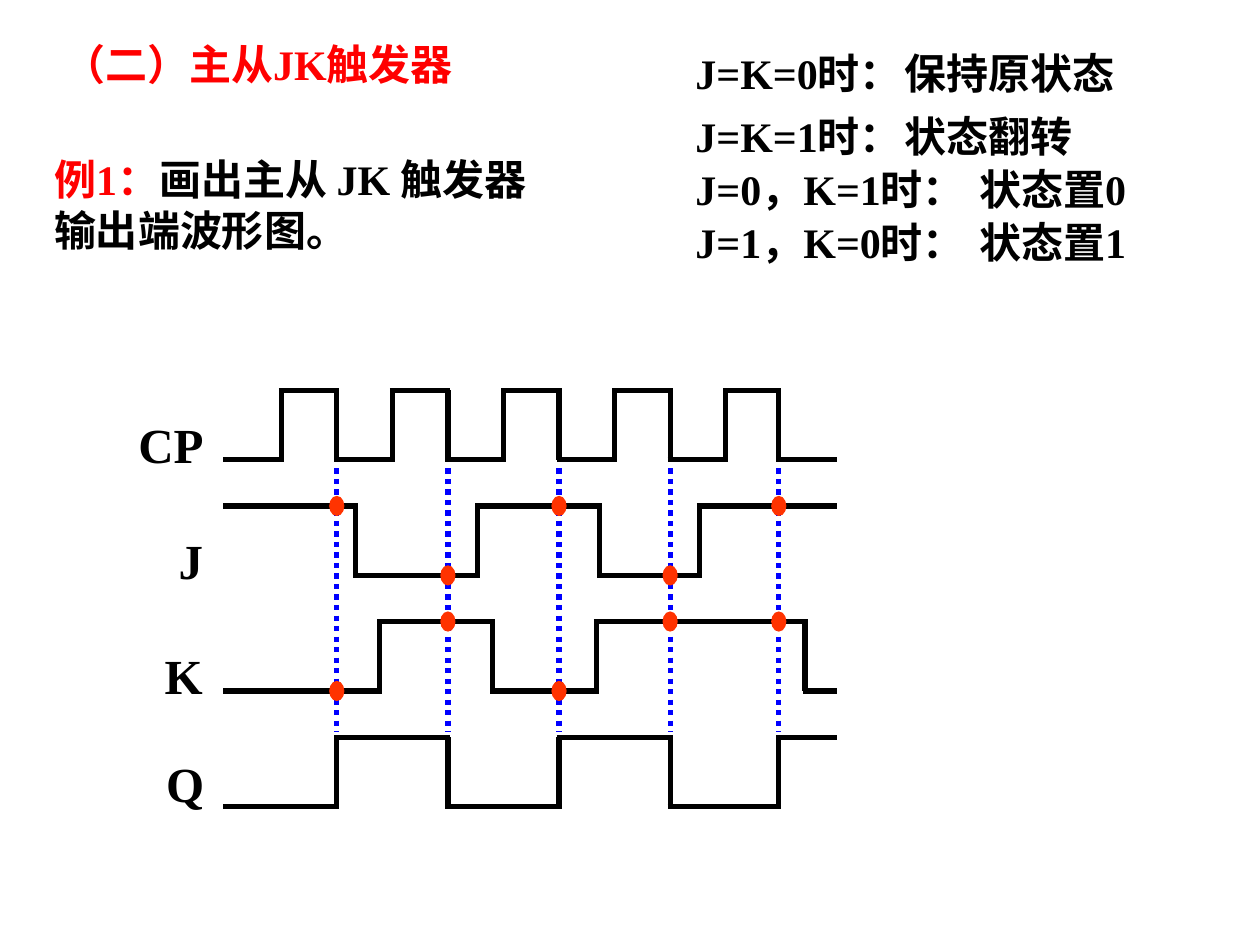
from lxml import etree
from pptx import Presentation
from pptx.dml.color import RGBColor
from pptx.enum.dml import MSO_LINE
from pptx.enum.shapes import MSO_CONNECTOR, MSO_SHAPE
from pptx.enum.text import MSO_ANCHOR, MSO_AUTO_SIZE, PP_ALIGN
from pptx.oxml.ns import qn
from pptx.util import Cm, Pt

STRAIGHT = MSO_CONNECTOR.STRAIGHT
OVAL = MSO_SHAPE.OVAL
DOTTED = MSO_LINE.ROUND_DOT
TOP, MIDDLE = MSO_ANCHOR.TOP, MSO_ANCHOR.MIDDLE
LEFT = PP_ALIGN.LEFT
NO_AUTOFIT = MSO_AUTO_SIZE.NONE

COLORS = {"ink": "000000", "accent": "FF0000", "guide": "0000FF", "sample": "FF3300"}
FONT = "Times New Roman"
TITLE_ONLY = 5

# Timing diagram, in cm from the corner of its box
WAVE_START, WAVE_LENGTH = 2.01, 12.27
ROW_PITCH, SWING = 2.33, 1.4
PERIOD = 2.24
CORNER = 0.05  # flat parts run on by half a line width to close the corners
DOT_WIDTH, DOT_HEIGHT = 0.28, 0.38
GUIDE_TOP, GUIDE_BOTTOM = 1.57, 6.88
FALLS = [PERIOD * n for n in range(1, 5)] + [11.15]
RISES = [PERIOD * (n + 0.5) for n in range(5)]

# name, starts high, edges, label (left, width, drop below the row top)
SIGNALS = [
    ("CP", False, sorted(RISES + FALLS), (0, 2.08, 0.36)),
    ("J", True, [2.62, 5.08, 7.54, 9.55], (0.81, 1.52, 0.36)),
    ("K", False, [3.1, 5.38, 7.47, 11.68], (0.53, 1.45, 0.36)),
    ("Q", False, FALLS, (0.56, 1.6, 0.2)),
]
SAMPLED = ("J", "K")

# condition, next state, top of the row, left of the state, width of the state
STATE_RULES = [
    ("J=K=0时：", "保持原状态", 0, 4.22, 5.87),
    ("J=K=1时：", "状态翻转", 1.27, 4.22, 5.87),
    ("J=0，K=1时：", "状态置0", 2.34, 5.72, 4.01),
    ("J=1，K=0时：", "状态置1", 3.4, 5.72, 4.01),
]


def color(name):
    return RGBColor.from_string(COLORS[name])


def write(frame, *runs, size=24, anchor=TOP):
    """Fill a text frame with bold runs, each a (text, colour name) pair."""
    frame.word_wrap = True
    frame.auto_size = NO_AUTOFIT
    frame.vertical_anchor = anchor
    paragraph = frame.paragraphs[0]
    paragraph.alignment = LEFT
    for text, color_name in runs:
        run = paragraph.add_run()
        run.text = text
        run.font.name = FONT
        run.font.size = Pt(size)
        run.font.bold = True
        run.font.color.rgb = color(color_name)


def add_text(slide, left, top, width, height, *runs, **text_format):
    box = slide.shapes.add_textbox(Cm(left), Cm(top), Cm(width), Cm(height))
    write(box.text_frame, *runs, **text_format)


def add_line(slide, x1, y1, x2, y2, color_name="ink", dash=None):
    line = slide.shapes.add_connector(STRAIGHT, Cm(x1), Cm(y1), Cm(x2), Cm(y2))
    line.line.color.rgb = color(color_name)
    line.line.width = Pt(3)
    if dash is not None:
        line.line.dash_style = dash
    etree.SubElement(line._element.spPr, qn("a:effectLst"))


def add_sample_dot(slide, x, y):
    dot = slide.shapes.add_shape(OVAL, Cm(x - DOT_WIDTH / 2), Cm(y - DOT_HEIGHT / 2),
                                 Cm(DOT_WIDTH), Cm(DOT_HEIGHT))
    dot.shadow.inherit = False
    dot.fill.solid()
    dot.fill.fore_color.rgb = color("sample")
    dot.line.color.rgb = color("sample")
    dot.line.width = Pt(0.75)


def add_wave(slide, left, top, starts_high, edges):
    high = starts_high
    stops = [0, *edges, WAVE_LENGTH]
    for start, end in zip(stops, stops[1:]):
        y = top if high else top + SWING
        add_line(slide, left + start - CORNER, y, left + end + CORNER, y)
        high = not high
    for edge in edges:
        add_line(slide, left + edge, top, left + edge, top + SWING)


def level_at(x, starts_high, edges):
    """Whether the signal is high at x."""
    return starts_high ^ (sum(edge < x for edge in edges) % 2 == 1)


def add_timing_diagram(slide, left, top):
    wave_left = left + WAVE_START
    for fall in FALLS:
        x = wave_left + fall
        add_line(slide, x, top + GUIDE_TOP, x, top + GUIDE_BOTTOM, "guide", DOTTED)
    for row, (name, starts_high, edges, label) in enumerate(SIGNALS):
        row_top = top + row * ROW_PITCH
        label_left, label_width, drop = label
        add_text(slide, left + label_left, row_top + drop, label_width, 1.45,
                 (name, "ink"), size=28, anchor=MIDDLE)
        add_wave(slide, wave_left, row_top, starts_high, edges)
        if name in SAMPLED:
            for fall in FALLS:
                high = level_at(fall, starts_high, edges)
                add_sample_dot(slide, wave_left + fall, row_top + (0 if high else SWING))


def add_state_rules(slide, left, top):
    for condition, state, drop, state_left, state_width in STATE_RULES:
        add_text(slide, left, top + drop, 5.87, 1.27, (condition, "ink"))
        add_text(slide, left + state_left, top + drop, state_width, 1.27, (state, "ink"))


def place_title(slide, left, top, width, height):
    title = slide.shapes.title
    title.left, title.top = Cm(left), Cm(top)
    title.width, title.height = Cm(width), Cm(height)
    write(title.text_frame, ("（二）主从JK触发器", "accent"))


def main():
    presentation = Presentation()
    presentation.slide_width, presentation.slide_height = Cm(25.4), Cm(19.05)
    slide = presentation.slides.add_slide(presentation.slide_layouts[TITLE_ONLY])
    place_title(slide, 1.02, 0.64, 9.14, 1.27)
    add_text(slide, 0.84, 2.97, 10.8, 2.29, ("例1：", "accent"),
             ("画出主从 JK 触发器输出端波形图。", "ink"), anchor=MIDDLE)
    add_state_rules(slide, 13.77, 0.84)
    add_timing_diagram(slide, 2.54, 7.87)
    presentation.save("out.pptx")


if __name__ == "__main__":
    main()
